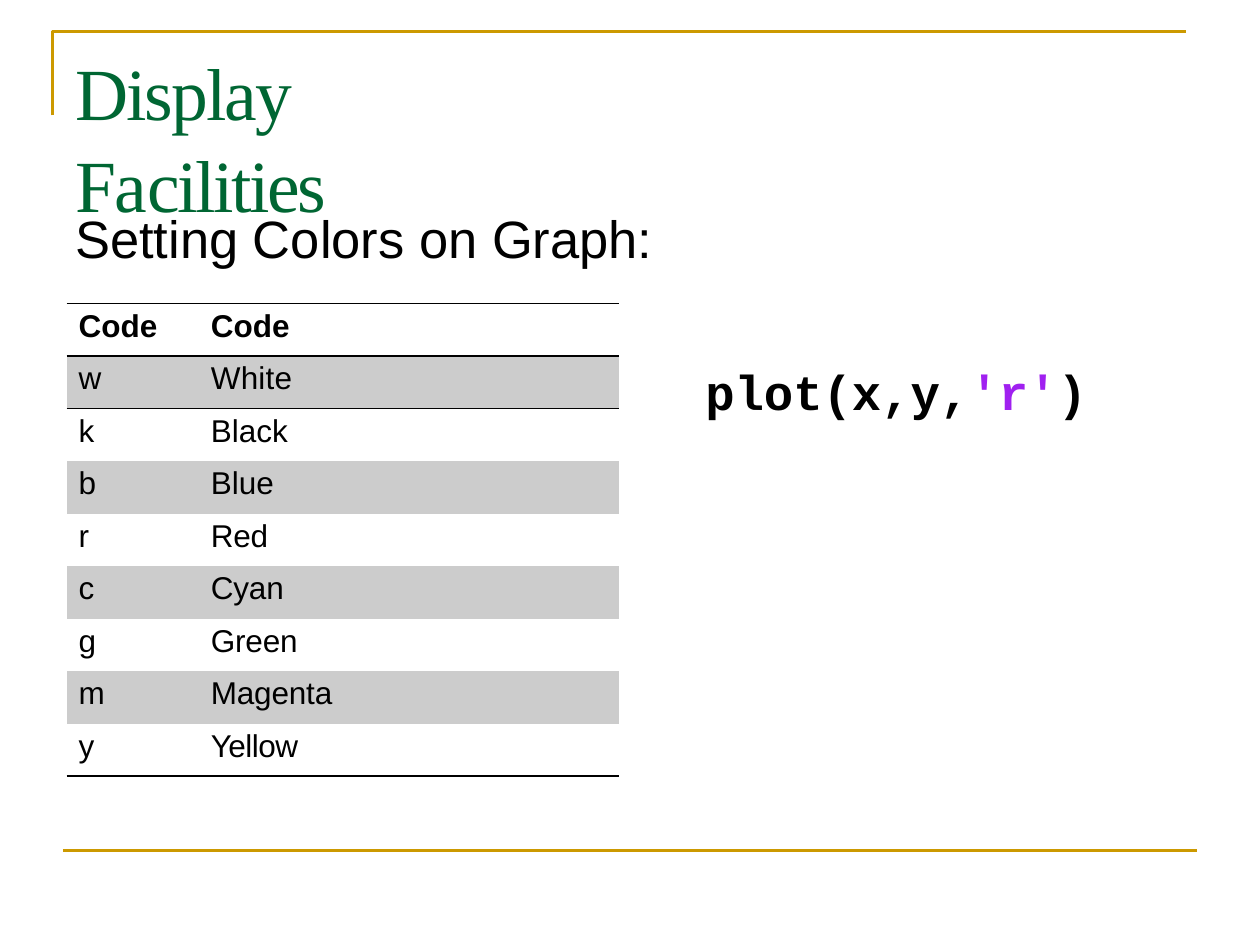
from lxml.etree import SubElement
from pptx import Presentation
from pptx.dml.color import RGBColor as RGB
from pptx.enum.text import MSO_ANCHOR as Anchor
from pptx.oxml.ns import qn
from pptx.util import Pt

PX = 6350  # EMU per px, 144 px to the inch
COLORS = {
    "gold": "CC9900",
    "green": "006633",
    "black": "000000",
    "gray": "CCCCCC",
    "purple": "A020F0",
}


class Deck:
    def __init__(self, width, height):
        self.prs = Presentation()
        self.prs.slide_width, self.prs.slide_height = width * PX, height * PX
        self.s = self.prs.slides.add_slide(self.prs.slide_layouts[6])

    def color(self, name):
        return RGB.from_string(COLORS[name])

    def style(self, r, font, size, color="black", bold=False, spc=0):
        r.font.name, r.font.size, r.font.bold = font, Pt(size), bold
        r.font.color.rgb = self.color(color)
        if spc:
            r._r.get_or_add_rPr().set("spc", str(round(spc * 100)))

    def outline(self, points):
        (x, y), *rest = [(a * PX, b * PX) for a, b in points]
        builder = self.s.shapes.build_freeform(x, y)
        builder.add_line_segments(rest, close=False)
        sp = builder.convert_to_shape()
        sp.shadow.inherit = False
        sp.fill.background()
        sp.line.color.rgb = self.color("gold")
        sp.line.width = Pt(1.44)

    def text(self, box, runs, font, size, left=0, top=0, tab=None, spacing=None):
        """Each run is (text, color, bold, character spacing)."""
        tf = self.s.shapes.add_textbox(*(v * PX for v in box)).text_frame
        tf.word_wrap = True
        tf.vertical_anchor = Anchor.TOP
        tf.margin_left, tf.margin_top = left * PX, top * PX
        tf.margin_right = tf.margin_bottom = 0
        p = tf.paragraphs[0]
        if spacing:
            p.line_spacing = spacing
        if tab:
            tabs = SubElement(p._p.get_or_add_pPr(), qn("a:tabLst"))
            SubElement(tabs, qn("a:tab"), pos=str(tab * PX), algn="l")
        for words, color, bold, spc in runs:
            r = p.add_run()
            r.text = words
            self.style(r, font, size, color, bold, spc)

    def borders(self, cell, ruled):
        tcPr = cell._tc.get_or_add_tcPr()
        for side in "LRTB":
            ln = SubElement(tcPr, qn("a:ln" + side), w=str(Pt(1)))
            if side in ruled:
                fill = SubElement(ln, qn("a:solidFill"))
                SubElement(fill, qn("a:srgbClr"), val=COLORS["black"])
            else:
                SubElement(ln, qn("a:noFill"))

    def table(self, x, y, widths, row_height, rows, indents, rules):
        """rules maps a row number to its ruled sides."""
        frame = self.s.shapes.add_table(
            len(rows), len(widths), x * PX, y * PX,
            sum(widths) * PX, row_height * len(rows) * PX)
        table = frame.table
        table.first_row = table.horz_banding = False
        for column, width in zip(table.columns, widths):
            column.width = width * PX
        for i, row in enumerate(rows):
            table.rows[i].height = row_height * PX
            for j, (words, spc) in enumerate(row):
                cell = table.cell(i, j)
                cell.margin_left, cell.margin_top = indents[j] * PX, 6 * PX
                cell.margin_right = cell.margin_bottom = 0
                self.borders(cell, rules.get(i, ""))
                if i % 2:
                    cell.fill.solid()
                    cell.fill.fore_color.rgb = self.color("gray")
                else:
                    cell.fill.background()
                cell.text_frame.text = words
                r = cell.text_frame.paragraphs[0].runs[0]
                self.style(r, "Arial", 18, bold=i == 0, spc=spc)


def main():
    deck = Deck(1440, 1080)

    # Frame lines
    deck.outline([(60, 132), (60, 36), (1356, 36)])
    deck.outline([(72, 972), (1368, 972)])

    # Title and subtitle
    title = [("Display\t", "green", False, -1.1),
             ("Fa", "green", False, -0.8),
             ("cilities", "green", False, -1.4)]
    deck.text((85, 42, 554, 105), title, "Times New Roman", 42,
              left=1, top=8, tab=269, spacing=1.04)
    deck.text((85, 228, 664, 76),
              [("Setting Colors on Graph:", "black", False, 0)],
              "Arial", 30, left=1, top=7)

    # Color codes
    names = [("Code", "Code", 0), ("w", "White", 0.1), ("k", "Black", 0),
             ("b", "Blue", 0), ("r", "Red", -0.1), ("c", "Cyan", -0.1),
             ("g", "Green", -0.1), ("m", "Magenta", -0.1),
             ("y", "Yellow", -0.3)]
    rows = [((code, 0), (name, spc)) for code, name, spc in names]
    deck.table(76, 347, (135, 497), 60, rows, indents=(14, 30),
               rules={0: "TB", 1: "TB", 2: "T", 8: "B"})

    # Example call
    code = [("plot(x,y,", "black", True, 0), ("'r'", "purple", True, 0),
            (")", "black", True, 0)]
    deck.text((792, 396, 528, 150), code, "Courier New", 28, left=14, top=17)

    deck.prs.save("out.pptx")


if __name__ == "__main__":
    main()
